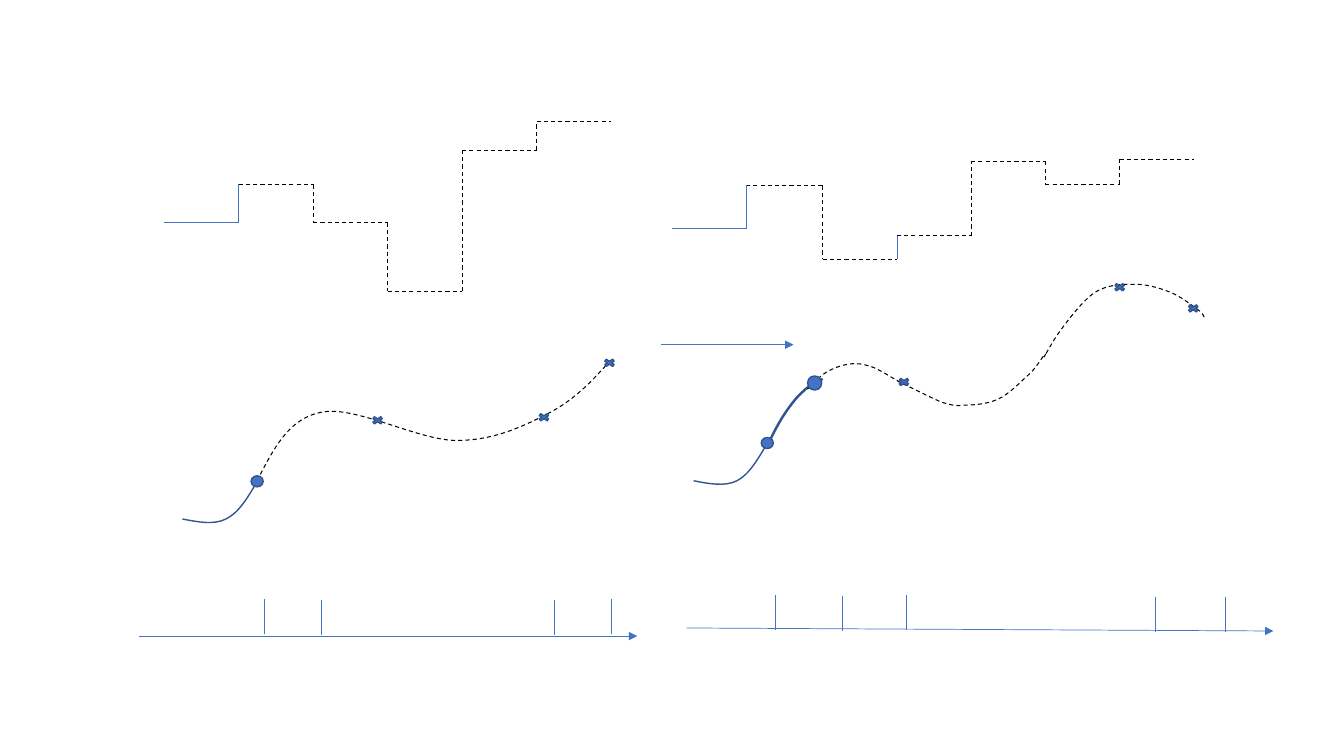
"""Two step signals with their trajectories and event timelines, before and after."""
from dataclasses import dataclass
from itertools import pairwise

from lxml import etree
from pptx import Presentation
from pptx import util as u
from pptx.dml.color import RGBColor
from pptx.enum import dml, shapes
from pptx.oxml.ns import qn

# The grid has square cells; every place is given as (column, row).
CELL = u.Inches(1)
COLUMNS, ROWS = 13.33, 7.5

BLUE = RGBColor(0x44, 0x72, 0xC4)
NAVY = RGBColor(0x32, 0x54, 0x91)
BLACK = RGBColor(0, 0, 0)

Point = tuple[float, float]


@dataclass(frozen=True)
class Stroke:
    """Colour, width in points and dash of a line."""
    color: RGBColor
    width: float
    dashed: bool = False


@dataclass(frozen=True)
class Staircase:
    """A step signal: a level between each pair of edges."""
    edges: list[float]
    levels: list[float]
    solid_risers: set[int]


@dataclass(frozen=True)
class Timeline:
    """An arrow with the tops of its event ticks."""
    start: Point
    end: Point
    ticks: list[Point]


@dataclass(frozen=True)
class Curve:
    """A start point followed by three Bezier points per segment."""
    stroke: Stroke
    points: list[Point]


@dataclass(frozen=True)
class Marker:
    """A filled preset shape placed by its top left corner."""
    kind: shapes.MSO_SHAPE
    size: Point
    corners: list[Point]


SOLID = Stroke(BLUE, 0.5)
DASHED = Stroke(BLACK, 0.75, dashed=True)
PAST = Stroke(NAVY, 1)
NEW_PAST = Stroke(NAVY, 1.75)
TICK_HEIGHT = 0.35


def spread(first: float, last: float, steps: int) -> list[float]:
    """Return equally spaced edges from first to last."""
    return [first + (last - first) * step / steps for step in range(steps + 1)]


STAIRCASES = [
    Staircase(spread(1.63, 6.06, 6), [2.21, 1.83, 2.21, 2.89, 1.49, 1.21], {1}),
    Staircase([6.67, 7.4, *spread(8.16, 11.84, 5)],
              [2.27, 1.84, 2.57, 2.34, 1.6, 1.83, 1.58], {1, 3}),
]
TIMELINES = [
    Timeline((6.81, 6.23), (12.63, 6.26),
             [(7.69, 5.9), (8.35, 5.91), (8.99, 5.9), (11.46, 5.92), (12.15, 5.92)]),
    Timeline((1.38, 6.31), (6.32, 6.31),
             [(2.62, 5.94), (3.19, 5.95), (5.5, 5.95), (6.06, 5.94)]),
    Timeline((6.56, 3.42), (7.87, 3.42), []),
]
CURVES = [
    Curve(PAST, [(1.81, 5.15), (1.97, 5.18), (2.12, 5.21), (2.24, 5.15),
                 (2.37, 5.09), (2.46, 4.93), (2.55, 4.78)]),
    Curve(DASHED, [(2.55, 4.77), (2.71, 4.46), (2.86, 4.15), (3.19, 4.09),
                   (3.52, 4.02), (4.15, 4.37), (4.53, 4.37),
                   (4.91, 4.37), (5.21, 4.22), (5.46, 4.09),
                   (5.72, 3.95), (5.89, 3.76), (6.06, 3.57)]),
    Curve(PAST, [(6.88, 4.77), (7.03, 4.8), (7.19, 4.83), (7.31, 4.77),
                 (7.43, 4.71), (7.52, 4.55), (7.61, 4.4)]),
    Curve(NEW_PAST, [(7.62, 4.4), (7.67, 4.3), (7.72, 4.2), (7.78, 4.11),
                     (7.84, 4.02), (7.9, 3.94), (7.97, 3.88),
                     (8.03, 3.82), (8.09, 3.79), (8.16, 3.76)]),
    Curve(DASHED, [(8.01, 3.86), (8.09, 3.78), (8.16, 3.7), (8.26, 3.66),
                   (8.35, 3.62), (8.47, 3.59), (8.58, 3.62),
                   (8.7, 3.64), (8.84, 3.75), (8.96, 3.81),
                   (9.09, 3.87), (9.24, 3.95), (9.34, 3.99),
                   (9.44, 4.02), (9.47, 4.03), (9.56, 4.02),
                   (9.65, 4.02), (9.79, 4.01), (9.9, 3.96),
                   (10.01, 3.91), (10.12, 3.79), (10.2, 3.72),
                   (10.28, 3.65), (10.33, 3.55), (10.36, 3.52),
                   (10.39, 3.49), (10.34, 3.57), (10.36, 3.53),
                   (10.39, 3.49), (10.43, 3.4), (10.51, 3.29),
                   (10.59, 3.18), (10.74, 2.98), (10.86, 2.9),
                   (10.99, 2.82), (11.13, 2.82), (11.26, 2.82),
                   (11.38, 2.82), (11.51, 2.86), (11.61, 2.9),
                   (11.71, 2.94), (11.82, 3.03), (11.88, 3.07),
                   (11.94, 3.12), (11.94, 3.14), (11.95, 3.16)]),
]
MARKERS = [
    Marker(shapes.MSO_SHAPE.OVAL, (0.14, 0.14), [(8.01, 3.73)]),
    Marker(shapes.MSO_SHAPE.OVAL, (0.12, 0.11), [(7.55, 4.34), (2.49, 4.72)]),
    Marker(shapes.MSO_SHAPE.MATH_MULTIPLY, (0.15, 0.1),
           [(3.67, 4.12), (5.97, 3.55), (11.03, 2.8),
            (11.76, 3.01), (5.32, 4.09), (8.89, 3.74)]),
]


def cells(*lengths: float) -> list[int]:
    """Convert grid lengths to slide units."""
    return [round(length * CELL) for length in lengths]


def format_line(line, stroke: Stroke) -> None:
    """Apply a stroke to a line format."""
    line.color.rgb = stroke.color
    formats = {"width": u.Pt(stroke.width)}
    if stroke.dashed:
        formats["dash_style"] = dml.MSO_LINE.DASH
    for name, value in formats.items():
        setattr(line, name, value)


def draw_line(slide, start: Point, end: Point, stroke: Stroke, arrow: bool = False) -> None:
    """Draw a straight connector, with an arrowhead at its end if wanted."""
    connector = slide.shapes.add_connector(
        shapes.MSO_CONNECTOR.STRAIGHT, *cells(*start, *end))
    format_line(connector.line, stroke)
    properties = connector._element.spPr
    if arrow:
        etree.SubElement(properties.find(qn("a:ln")), qn("a:tailEnd"), type="triangle")
    etree.SubElement(properties, qn("a:effectLst"))


def draw_staircase(slide, staircase: Staircase) -> None:
    """Draw the levels, then the risers between them."""
    levels = staircase.levels
    for index, (left, right) in enumerate(pairwise(staircase.edges)):
        level = levels[index]
        draw_line(slide, (left, level), (right, level), DASHED if index else SOLID)
    for index, (before, after) in enumerate(pairwise(levels), start=1):
        edge = staircase.edges[index]
        stroke = SOLID if index in staircase.solid_risers else DASHED
        draw_line(slide, (edge, before), (edge, after), stroke)


def draw_timeline(slide, timeline: Timeline) -> None:
    """Draw an arrow and its event ticks."""
    draw_line(slide, timeline.start, timeline.end, SOLID, arrow=True)
    for column, row in timeline.ticks:
        draw_line(slide, (column, row), (column, row + TICK_HEIGHT), SOLID)


def draw_curve(slide, curve: Curve) -> None:
    """Draw a freeform and turn each three line segments into one Bezier segment."""
    start, *rest = [tuple(cells(*point)) for point in curve.points]
    builder = slide.shapes.build_freeform(*start)
    builder.add_line_segments(rest, close=False)
    shape = builder.convert_to_shape()
    shape.shadow.inherit = False
    shape.fill.background()
    format_line(shape.line, curve.stroke)
    segments = list(shape._element.iter(qn("a:lnTo")))
    for first in range(0, len(segments), 3):
        bezier = etree.Element(qn("a:cubicBezTo"))
        segments[first].addprevious(bezier)
        for segment in segments[first:first + 3]:
            bezier.append(segment[0])
            segment.getparent().remove(segment)


def draw_marker(slide, marker: Marker) -> None:
    """Draw a marker at each of its corners."""
    for corner in marker.corners:
        shape = slide.shapes.add_shape(marker.kind, *cells(*corner, *marker.size))
        shape.shadow.inherit = False
        shape.fill.solid()
        shape.fill.fore_color.rgb = BLUE
        format_line(shape.line, PAST)


presentation = Presentation()
presentation.slide_width, presentation.slide_height = cells(COLUMNS, ROWS)
slide = presentation.slides.add_slide(presentation.slide_layouts.get_by_name("Blank"))
for draw, items in ((draw_timeline, TIMELINES), (draw_staircase, STAIRCASES),
                    (draw_curve, CURVES), (draw_marker, MARKERS)):
    for item in items:
        draw(slide, item)
presentation.save("out.pptx")
